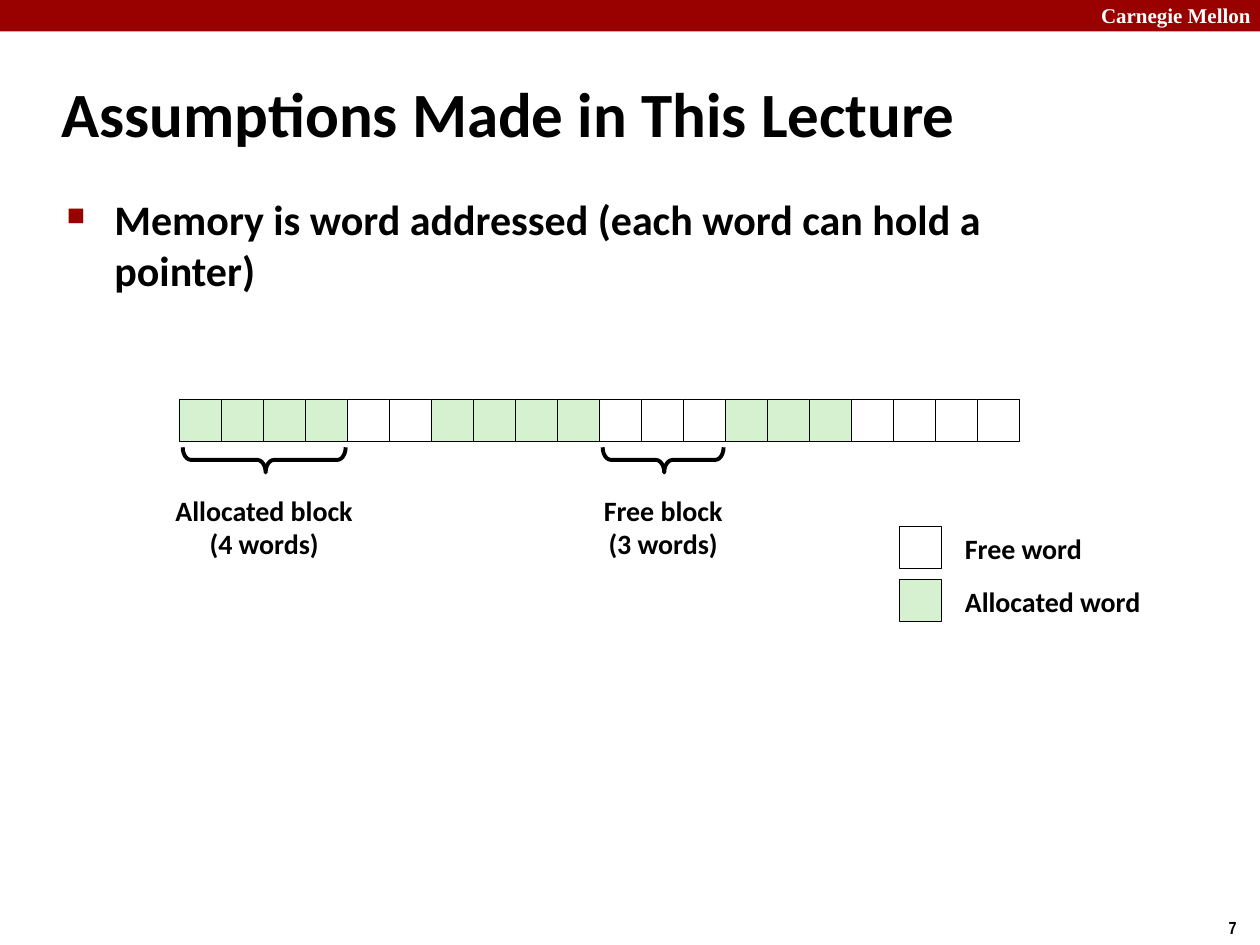
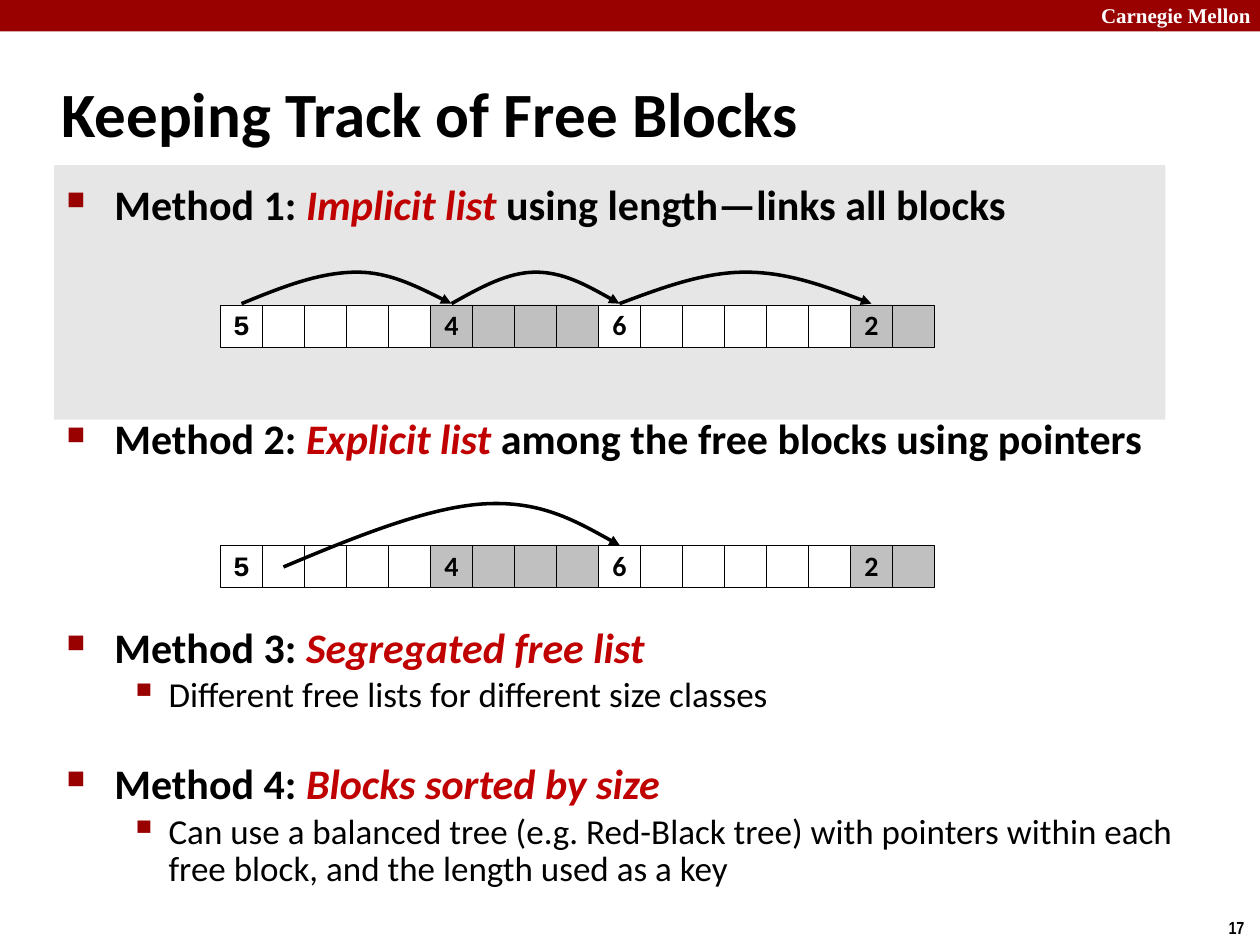
from lxml import etree
from pptx import Presentation
from pptx.dml.color import RGBColor
from pptx.enum.shapes import MSO_SHAPE as Shape
from pptx.enum.text import MSO_ANCHOR as Anchor, PP_ALIGN as Align
from pptx.oxml.ns import qn
from pptx.util import Inches, Pt

# Shared look
BLACK, WHITE, CRIMSON, EMPHASIS = "000000", "FFFFFF", "990000", "C00000"
GREEN, GREY, PANEL = "D5F1CF", "C0C0C0", "E6E6E6"
CELL = 1 / 3
# Per level: bullet, bullet size %, left margin, hang, text size, bold
LEVELS = [("■", 60, 0.38, 0.38, 24, True), ("▪", 110, 0.81, 0.31, 20, False)]

# Slide 1: blocks are (words, allocated)
MEMORY_TITLE = "Assumptions Made in This Lecture"
# Bullets: (level, space before, line spacing, plain / emphasised / plain text)
MEMORY_BULLETS = [
    (0, 0, 1, ["Memory is word addressed (each word can hold a pointer)"]),
]
MEMORY_BLOCKS = [(4, True), (2, False), (4, True), (3, False), (3, True), (4, False)]
MEMORY_LEFT, MEMORY_TOP = 1.42, 3.17
BRACES = [(0, 4, "Allocated block"), (10, 3, "Free block")]
LEGEND = [("Free word", WHITE), ("Allocated word", GREEN)]

# Slide 2
TRACK_TITLE = "Keeping Track of Free Blocks"
TRACK_BULLETS = [
    (0, 0, 1, ["Method 1: ", "Implicit list ", "using length—links all blocks"]),
    (0, 105, 1, ["Method 2: ", "Explicit list ", "among the free blocks using pointers"]),
    (0, 95, 0.83, ["Method 3: ", "Segregated free list"]),
    (1, 4, 0.88, ["Different free lists for different size classes"]),
    (0, 29, 0.83, ["Method 4: ", "Blocks sorted by size"]),
    (1, 4, 0.88, ["Can use a balanced tree (e.g. Red-Black tree) with pointers within "
                  "each free block, and the length used as a key"]),
]
TRACK_BLOCKS = [(5, False), (4, True), (6, False), (2, True)]
TRACK_LEFT, IMPLICIT_TOP, EXPLICIT_TOP = 1.75, 2.42, 4.33
# Implicit links: (first cell, last cell, apex as a share of the width)
IMPLICIT_LINKS = [(0, 5, 0.55), (5, 9, 0.5), (9, 15, 0.5)]
EXPLICIT_LINK = [(2.25, 4.5), (2.82, 4.26), (3.39, 4.03), (3.83, 4),
                 (4.28, 3.97), (4.6, 4.15), (4.92, 4.33)]


def color(hex_code):
    return RGBColor.from_string(hex_code)


def add_run(paragraph, words, size=16, font="Calibri", ink=BLACK, bold=True, italic=False):
    run = paragraph.add_run()
    run.text = words
    run.font.size, run.font.name = Pt(size), font
    run.font.bold, run.font.italic = bold, italic
    run.font.color.rgb = color(ink)


def write(frame, words, align=Align.LEFT, anchor=Anchor.TOP, spacing=1,
          inset_x=0.1, **font):
    """Fill a text frame, one paragraph for each line of words."""
    frame.word_wrap = True
    frame.vertical_anchor = anchor
    frame.margin_left = frame.margin_right = Inches(inset_x)
    for i, line in enumerate(words.split("\n")):
        paragraph = frame.add_paragraph() if i else frame.paragraphs[0]
        paragraph.alignment, paragraph.line_spacing = align, spacing
        add_run(paragraph, line, **font)


def add_box(slide, left, top, width, height):
    return slide.shapes.add_textbox(*map(Inches, (left, top, width, height))).text_frame


def add_shape(slide, kind, left, top, width, height, fill=None, line=None):
    shape = slide.shapes.add_shape(kind, *map(Inches, (left, top, width, height)))
    shape.shadow.inherit = False
    if fill:
        shape.fill.solid()
        shape.fill.fore_color.rgb = color(fill)
    else:
        shape.fill.background()
    if line:
        shape.line.color.rgb, shape.line.width = color(BLACK), Pt(line)
    else:
        shape.line.fill.background()
    return shape


def add_cell(slide, left, top, fill):
    return add_shape(slide, Shape.RECTANGLE, left, top, CELL, CELL, fill, 0.25)


def add_row(slide, left, top, blocks, allocated_fill, show_lengths=False):
    """Draw blocks of memory words side by side."""
    start = 0
    for words, allocated in blocks:
        for i in range(words):
            cell = add_cell(slide, left + (start + i) * CELL, top,
                            allocated_fill if allocated else WHITE)
            if show_lengths and i == 0:
                write(cell.text_frame, str(words), align=Align.CENTER,
                      anchor=Anchor.MIDDLE, spacing=0.98, inset_x=0,
                      font="Calibri" if start else "Courier New")
        start += words


def add_bullets(slide, at, bullets):
    frame = add_box(slide, *at)
    frame.word_wrap = True
    for i, (level, before, spacing, parts) in enumerate(bullets):
        mark, percent, margin, hang, size, bold = LEVELS[level]
        paragraph = frame.add_paragraph() if i else frame.paragraphs[0]
        paragraph.level = level
        props = paragraph._p.get_or_add_pPr()
        props.set("marL", str(Inches(margin)))
        props.set("indent", str(-Inches(hang)))
        ink = etree.SubElement(props, qn("a:buClr"))
        etree.SubElement(ink, qn("a:srgbClr"), val=CRIMSON)
        etree.SubElement(props, qn("a:buSzPct"), val=str(percent * 1000))
        etree.SubElement(props, qn("a:buChar"), char=mark)
        paragraph.space_before, paragraph.line_spacing = Pt(before), spacing
        for j, words in enumerate(parts):
            stressed = j == 1
            add_run(paragraph, words, size=size, bold=bold, italic=stressed,
                    ink=EMPHASIS if stressed else BLACK)


def arc_points(start, end, apex, bottom, height=0.25):
    """Seven Bézier points of an arch from start to end."""
    top, peak = bottom - height, start + (end - start) * apex
    rise, fall = (peak - start) / 3, (end - peak) / 3
    shoulder = bottom - height / 2
    return [(start, bottom), (start + rise, shoulder), (peak - rise, top), (peak, top),
            (peak + fall, top), (end - fall, shoulder), (end, bottom)]


def add_curved_arrow(slide, points):
    points = [(Inches(x), Inches(y)) for x, y in points]
    builder = slide.shapes.build_freeform(*points[0])
    builder.add_line_segments(points[1:], close=False)
    arrow = builder.convert_to_shape()
    arrow.shadow.inherit = False
    arrow.fill.background()
    arrow.line.color.rgb, arrow.line.width = color(BLACK), Pt(2)
    # Turn each three straight segments into one Bézier curve
    outline = next(arrow._element.iter(qn("a:path")))
    segments = outline.findall(qn("a:lnTo"))
    for i in range(0, len(segments), 3):
        curve = etree.SubElement(outline, qn("a:cubicBezTo"))
        for segment in segments[i:i + 3]:
            curve.append(segment[0])
            outline.remove(segment)
    etree.SubElement(arrow.line._get_or_add_ln(), qn("a:tailEnd"), type="triangle")


def add_slide(deck, title, number):
    """Start a slide with its band, title and number."""
    slide = deck.slides.add_slide(deck.slide_layouts[6])
    add_shape(slide, Shape.RECTANGLE, 0, 0, 10, 0.25, CRIMSON)
    write(add_box(slide, 8.64, -0.03, 1.43, 0.3), "Carnegie Mellon",
          size=12, font="Times New Roman", ink=WHITE)
    write(add_box(slide, 9.75, 7.23, 0.25, 0.27), str(number),
          inset_x=0, size=10, font="Arial Narrow")
    write(add_box(slide, 0.39, 0.48, 8.3, 0.83), title, anchor=Anchor.MIDDLE, size=36)
    return slide


def build_memory_slide(deck):
    slide = add_slide(deck, MEMORY_TITLE, 7)
    add_bullets(slide, (0.43, 1.49, 8.64, 5.44), MEMORY_BULLETS)
    add_row(slide, MEMORY_LEFT, MEMORY_TOP, MEMORY_BLOCKS, GREEN)

    # Braces with labels below the row
    depth, label_width = 0.2, 2
    for first, words, label in BRACES:
        middle = MEMORY_LEFT + (first + words / 2) * CELL + 0.01
        length = words * CELL - 0.04
        brace = add_shape(slide, Shape.LEFT_BRACE, middle - depth / 2, 3.65 - length / 2,
                          depth, length, line=2.25)
        brace.rotation = 270
        brace.adjustments[0], brace.adjustments[1] = 0.333, 0.509
        write(add_box(slide, middle - label_width / 2, 3.88, label_width, 0.63),
              f"{label}\n({words} words)", align=Align.CENTER, spacing=0.98)

    # Legend
    for i, (label, fill) in enumerate(LEGEND):
        top = 4.18 + i * 0.42
        add_cell(slide, 7.14, top, fill)
        write(add_box(slide, 7.56, top, 2, 0.37), label, spacing=0.98)


def build_tracking_slide(deck):
    slide = add_slide(deck, TRACK_TITLE, 17)
    add_shape(slide, Shape.RECTANGLE, 0.43, 1.31, 8.82, 2.02, PANEL)
    add_bullets(slide, (0.43, 1.37, 9.07, 5.88), TRACK_BULLETS)
    for top in (IMPLICIT_TOP, EXPLICIT_TOP):
        add_row(slide, TRACK_LEFT, top, TRACK_BLOCKS, GREY, show_lengths=True)

    # Links between blocks
    for first, last, apex in IMPLICIT_LINKS:
        start, end = (TRACK_LEFT + (cell + 0.5) * CELL for cell in (first, last))
        add_curved_arrow(slide, arc_points(start, end, apex, IMPLICIT_TOP - 0.01))
    add_curved_arrow(slide, EXPLICIT_LINK)


def main():
    deck = Presentation()
    deck.slide_width, deck.slide_height = Inches(10), Inches(7.5)
    build_memory_slide(deck)
    build_tracking_slide(deck)
    deck.save("out.pptx")


if __name__ == "__main__":
    main()
